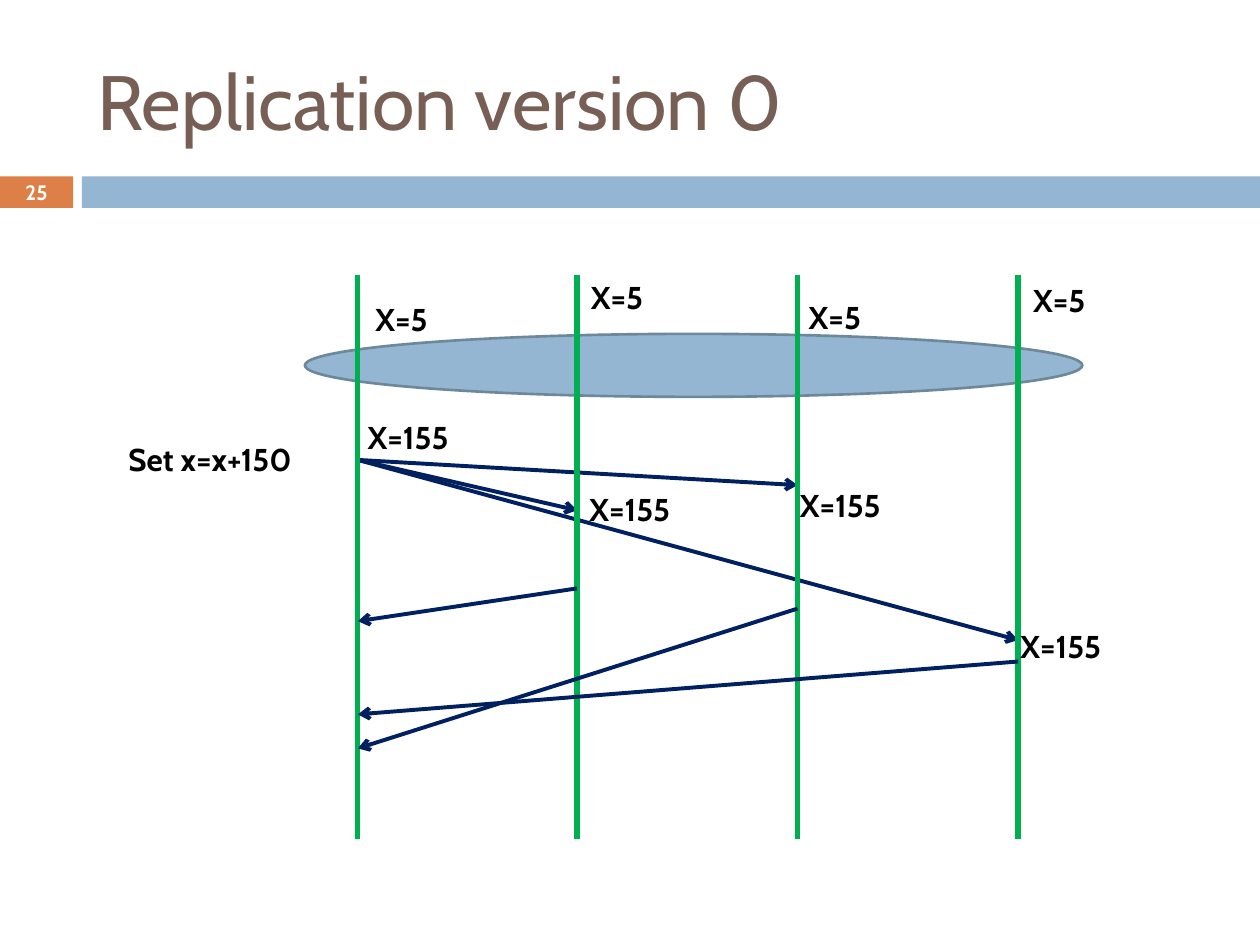
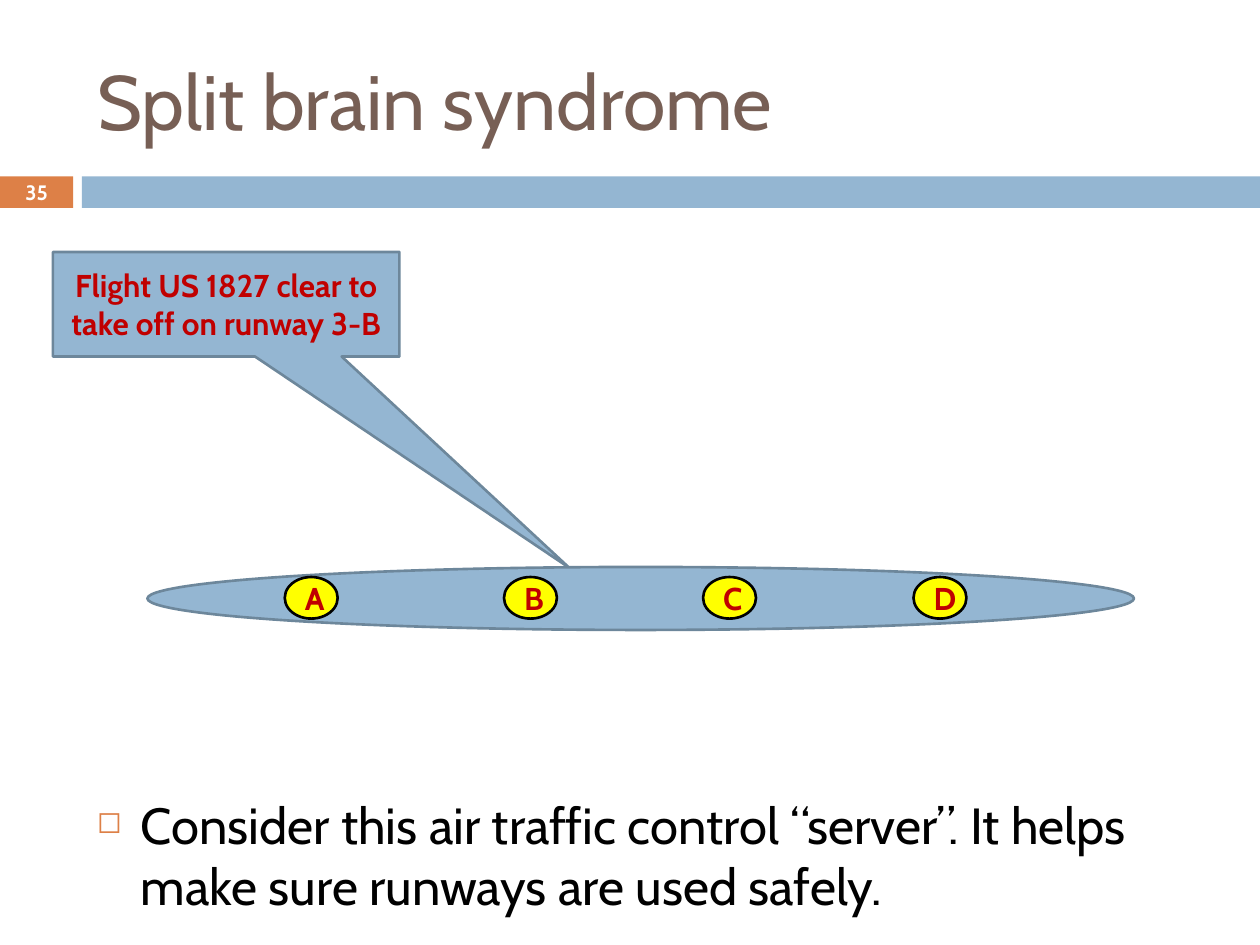
from lxml import etree
from pptx import Presentation
from pptx import util as u
from pptx.dml import color
from pptx.enum import shapes, text
from pptx.oxml import ns

THEME = {
    "face": "Cabin",
    "ink": {"title": "775F55", "body": "000000", "light": "FFFFFF", "red": "C00000",
            "blue": "94B6D2", "edge": "6D879B", "orange": "DD8047", "yellow": "FFFF00",
            "navy": "002060", "green": "00B050"},
    "size": {"title": 44, "body": 29, "label": 18, "page": 11.9},
}

TITLES = [("Replication version 0", 25), ("Split brain syndrome", 35)]

LANES = [2.84, 4.58, 6.33, 8.08]
SPAN = (2.18, 6.66)
SENDS = [(0, 3.65, 1, 4.05), (0, 3.65, 2, 3.85), (0, 3.65, 3, 5.08)]
REPLIES = [(1, 4.67, 0, 4.93), (3, 5.25, 0, 5.67), (2, 4.83, 0, 5.94)]
GROUP = (2.42, 2.65, 6.17, 0.5)
LABELS = [
    ("X=5", 0.78, [(2.88, 2.33), (4.59, 2.16), (6.32, 2.32), (8.1, 2.18)]),
    ("X=155", 1.17, [(2.82, 3.27), (4.58, 3.84), (6.25, 3.81), (8, 4.93)]),
    ("Set x=x+150", 1.89, [(0.92, 3.44)]),
]

SERVER = (1.17, 4.5, 7.83, 0.5)
NODES = {"A": 2.26, "B": 4, "C": 5.58, "D": 7.25}
CALL = "Flight US 1827 clear to take off on runway 3-B"
CALL_BOX = (0.42, 2, 2.75, 0.83)
CALL_TIP = (0.99, 2.52)
POINT = "Consider this air traffic control “server”. It helps make sure runways are used safely."

KIND = shapes.MSO_SHAPE
ALIGN = text.PP_ALIGN
MID = text.MSO_ANCHOR.MIDDLE


def ink(name):
    return color.RGBColor.from_string(THEME["ink"][name])


def box(at):
    return [u.Inches(n) for n in at]


def put(item, **vals):
    for key, val in vals.items():
        setattr(item, key, val)


def write(shape, words, size, tone, bold=True, align=ALIGN.LEFT, anchor=MID):
    frame = shape.text_frame
    frame.text = words
    put(frame, word_wrap=True, auto_size=text.MSO_AUTO_SIZE.NONE, vertical_anchor=anchor)
    para = frame.paragraphs[0]
    para.alignment = align
    font = para.runs[0].font
    put(font, name=THEME["face"], size=u.Pt(THEME["size"][size]), bold=bold)
    font.color.rgb = ink(tone)
    return para


def note(slide, at, words, size, tone, **opts):
    return write(slide.shapes.add_textbox(*box(at)), words, size, tone, **opts)


def form(slide, kind, at, fill, edge=None):
    shape = slide.shapes.add_shape(kind, *box(at))
    shape.shadow.inherit = False
    shape.fill.solid()
    shape.fill.fore_color.rgb = ink(fill)
    if edge:
        shape.line.color.rgb = ink(edge)
        shape.line.width = u.Pt(1.5)
    else:
        shape.line.fill.background()
    return shape


def link(slide, ends, tone, width, arrow=False):
    line = slide.shapes.add_connector(shapes.MSO_CONNECTOR.STRAIGHT, *box(ends))
    line.line.color.rgb = ink(tone)
    line.line.width = u.Pt(width)
    if arrow:
        etree.SubElement(line.line._get_or_add_ln(), ns.qn("a:tailEnd"), type="arrow")
    etree.SubElement(line._element.spPr, ns.qn("a:effectLst"))


def send(slide, hops):
    for start, top, end, low in hops:
        link(slide, (LANES[start], top, LANES[end], low), "navy", 2.25, True)


def mark(para):
    para.space_before = u.Pt(7)
    props = para._p.get_or_add_pPr()
    put_in = u.Inches(0.35)
    props.set("marL", str(put_in))
    props.set("indent", str(-put_in))
    tint = etree.SubElement(props, ns.qn("a:buClr"))
    etree.SubElement(tint, ns.qn("a:srgbClr"), val=THEME["ink"]["orange"])
    etree.SubElement(props, ns.qn("a:buSzPct"), val="60000")
    etree.SubElement(props, ns.qn("a:buChar"), char="◻")


def start(deck, title, page):
    slide = deck.slides.add_slide(deck.slide_layouts[5])
    form(slide, KIND.RECTANGLE, (0, 1.4, 0.58, 0.25), "orange")
    form(slide, KIND.RECTANGLE, (0.65, 1.4, 9.35, 0.25), "blue")
    head = slide.shapes.title
    put(head, **dict(zip(("left", "top", "width", "height"), box((0.67, 0.25, 8.92, 1.08)))))
    write(head, title, "title", "title", bold=False)
    note(slide, (0, 1.39, 0.58, 0.27), str(page), "page", "light", align=ALIGN.CENTER)
    return slide


def draw_lanes(slide):
    form(slide, KIND.OVAL, GROUP, "blue", "edge")
    send(slide, SENDS)
    for lane in LANES:
        link(slide, (lane, SPAN[0], lane, SPAN[1]), "green", 3)
    send(slide, REPLIES)
    for words, wide, spots in LABELS:
        for left, top in spots:
            note(slide, (left, top, wide, 0.4), words, "label", "body",
                 anchor=text.MSO_ANCHOR.TOP)


def draw_split(slide):
    call = form(slide, KIND.RECTANGULAR_CALLOUT, CALL_BOX, "blue", "edge")
    for spot, val in enumerate(CALL_TIP):
        call.adjustments[spot] = val
    write(call, CALL, "label", "red", align=ALIGN.CENTER)
    form(slide, KIND.OVAL, SERVER, "blue", "edge")
    for name, left in NODES.items():
        node = form(slide, KIND.OVAL, (left, 4.58, 0.42, 0.33), "yellow", "body")
        write(node, name, "label", "red", align=ALIGN.CENTER)
    mark(note(slide, (0.67, 6.25, 8.92, 1.08), POINT, "body", "body",
              bold=False, anchor=text.MSO_ANCHOR.TOP))


def main():
    deck = Presentation()
    put(deck, slide_width=u.Inches(10), slide_height=u.Inches(7.5))
    for (title, page), draw in zip(TITLES, (draw_lanes, draw_split)):
        draw(start(deck, title, page))
    deck.save("out.pptx")


if __name__ == "__main__":
    main()
